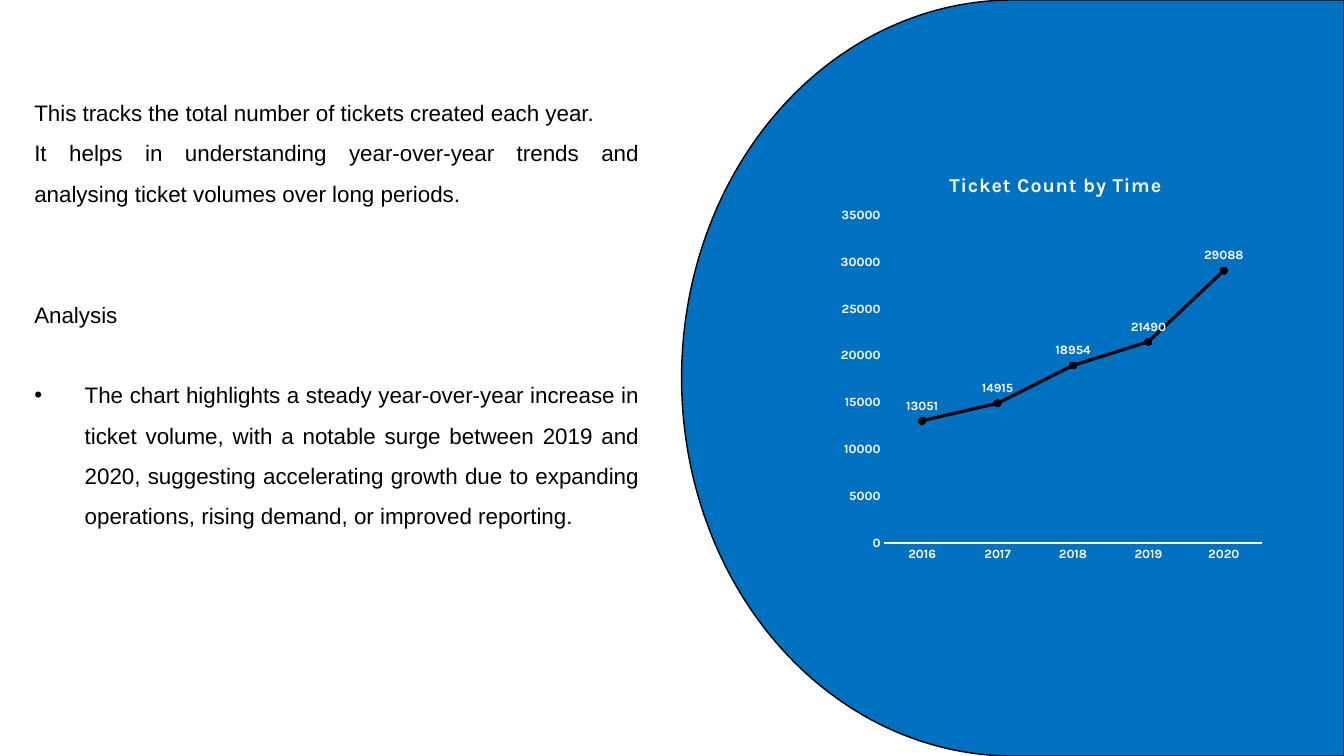
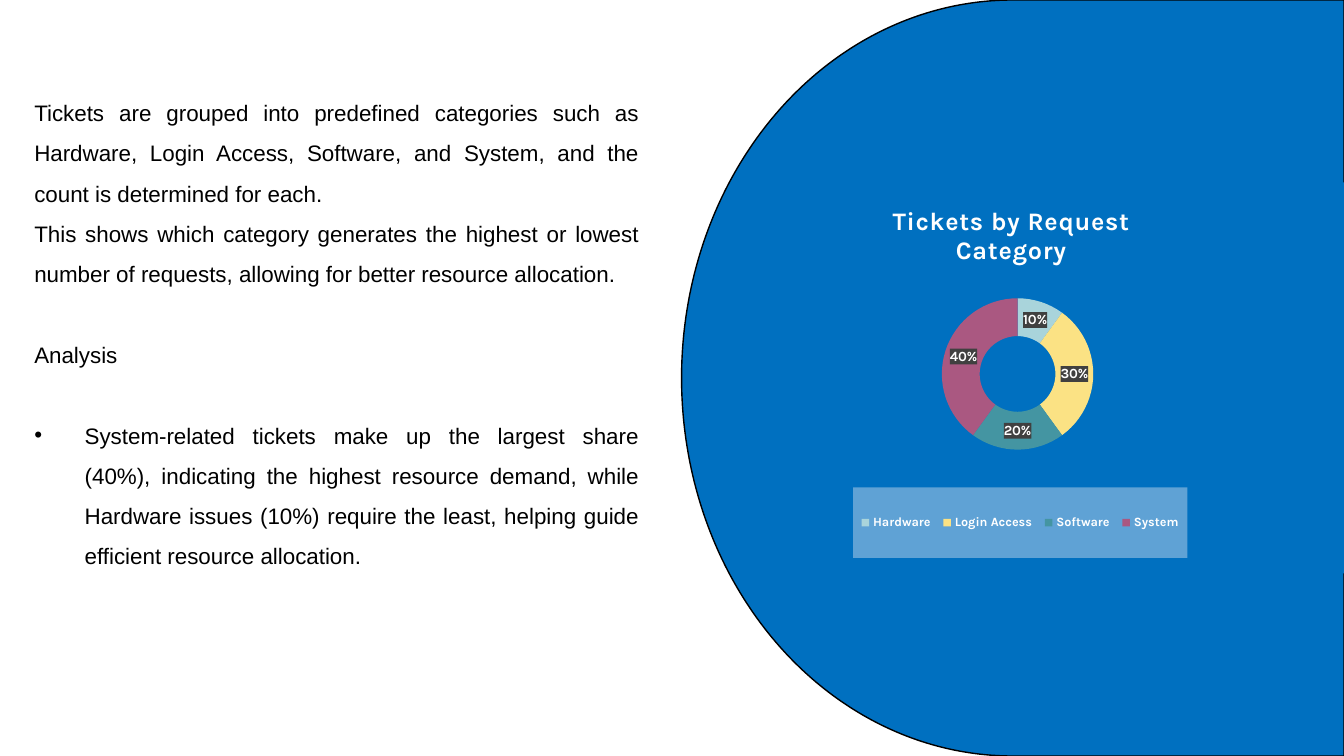
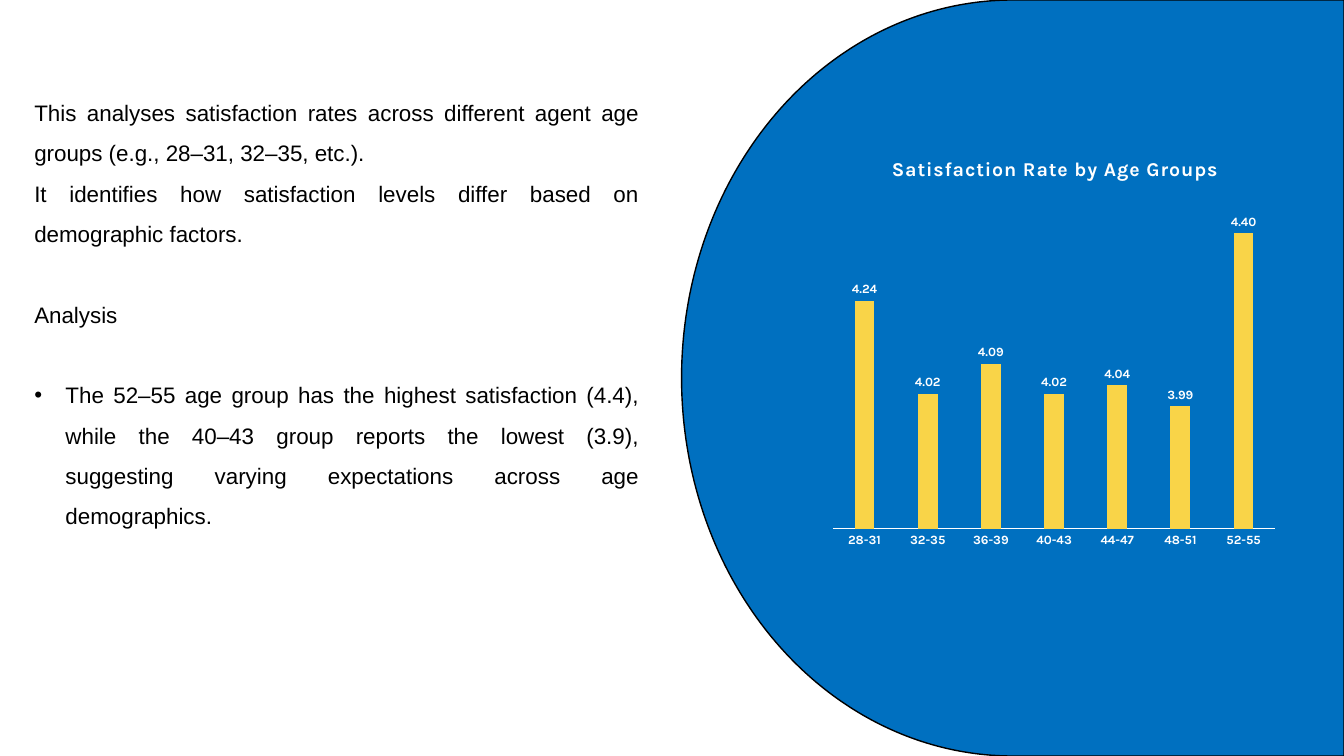
from dataclasses import dataclass

from lxml import etree
from pptx import Presentation
from pptx.chart.data import CategoryChartData as ChartData
from pptx.dml.color import RGBColor as RGB
from pptx.enum.chart import XL_CHART_TYPE as Kind
from pptx.enum.chart import XL_LABEL_POSITION as LabelAt
from pptx.enum.chart import XL_LEGEND_POSITION as LegendAt
from pptx.enum.chart import XL_MARKER_STYLE as Marker
from pptx.enum.chart import XL_TICK_MARK as Tick
from pptx.enum.shapes import MSO_SHAPE as Preset
from pptx.enum.text import MSO_ANCHOR, MSO_AUTO_SIZE
from pptx.enum.text import PP_ALIGN as Align
from pptx.oxml import parse_xml
from pptx.oxml.ns import nsdecls, qn
from pptx.util import Inches, Pt


@dataclass(frozen=True)
class Theme:
    blue: str = "0070C0"
    ink: str = "000000"
    white: str = "FFFFFF"
    gold: str = "F9D448"
    label_box: str = "404040"
    legend_box: str = "5FA2D5"
    slices: tuple = ("A9D4DB", "FBE284", "4495A2", "AA5881")
    body_font: str = "Arial"
    chart_font: str = "Karla"
    body_size: int = 16
    row: float = 28.8  # height of one text line, points
    small: int = 9
    medium: int = 10


theme = Theme()
prs = Presentation()
prs.slide_width, prs.slide_height = Inches(13.33), Inches(7.5)

# Frames are left, top, width, height in percent of the slide
BODY = (2.55, 11.33, 45, 83.6)
PANEL = (50.71, 0, 49.29, 100)


def frame(left, top, width, height):
    across, down = prs.slide_width / 100, prs.slide_height / 100
    return [round(v) for v in (left * across, top * down, width * across, height * down)]


def place(part, index, **shares):
    """Put a chart part at shares of the chart's size."""
    for old in part.findall(qn("c:layout")):
        part.remove(old)
    inner = '<c:layoutTarget val="inner"/>' if part.tag == qn("c:plotArea") else ""
    modes = "".join(f'<c:{k}Mode val="edge"/>' for k in "xy")
    values = "".join(f'<c:{k} val="{v}"/>' for k, v in shares.items())
    part.insert(index, parse_xml(
        f'<c:layout {nsdecls("c")}><c:manualLayout>{inner}{modes}{values}'
        "</c:manualLayout></c:layout>"))


pages = [
    dict(intro=["This tracks the total number of tickets created each year.",
                "It helps in understanding year-over-year trends and analysing ticket "
                "volumes over long periods."],
         gap_rows=2, indent=0.5,
         finding="The chart highlights a steady year-over-year increase in ticket volume, "
                 "with a notable surge between 2019 and 2020, suggesting accelerating growth "
                 "due to expanding operations, rising demand, or improved reporting.",
         kind=Kind.LINE_MARKERS, at=(61.89, 20.13, 32.63, 55.6),
         title="Ticket Count by Time", title_size=14, title_at=dict(x=0.26, y=0.04),
         plot_at=dict(x=0.12, y=0.15, w=0.86, h=0.78),
         data={"2016": 13051, "2017": 14915, "2018": 18954, "2019": 21490, "2020": 29088},
         scale=dict(minimum_scale=0, maximum_scale=35000, major_unit=5000),
         labels=dict(show_value=True, position=LabelAt.ABOVE, number_format="0")),
    dict(intro=["Tickets are grouped into predefined categories such as Hardware, Login "
                "Access, Software, and System, and the count is determined for each.",
                "This shows which category generates the highest or lowest number of "
                "requests, allowing for better resource allocation."],
         gap_rows=1, indent=0.5,
         finding="System-related tickets make up the largest share (40%), indicating the "
                 "highest resource demand, while Hardware issues (10%) require the least, "
                 "helping guide efficient resource allocation.",
         kind=Kind.DOUGHNUT, at=(61.14, 24.13, 38.86, 51.73),
         title="Tickets by Request\nCategory", title_size=18,
         title_at=dict(x=0.13, y=0.05),
         plot_at=dict(x=0.23, y=0.26, w=0.29, h=0.46),
         data={"Hardware": 10, "Login Access": 30, "Software": 20, "System": 40},
         labels=dict(show_value=False, show_percentage=True, number_format="0%")),
    dict(intro=["This analyses satisfaction rates across different agent age groups "
                "(e.g., 28–31, 32–35, etc.).",
                "It identifies how satisfaction levels differ based on demographic factors."],
         gap_rows=1, indent=0.31,
         finding="The 52–55 age group has the highest satisfaction (4.4), while the 40–43 "
                 "group reports the lowest (3.9), suggesting varying expectations across age "
                 "demographics.",
         kind=Kind.COLUMN_CLUSTERED, at=(61.29, 18, 34.28, 55.87),
         title="Satisfaction Rate by Age Groups", title_size=14,
         title_at=dict(x=0.14, y=0.04),
         plot_at=dict(x=0.02, y=0.13, w=0.96, h=0.8),
         data={"28-31": 4.24, "32-35": 4.02, "36-39": 4.09, "40-43": 4.02,
               "44-47": 4.04, "48-51": 3.99, "52-55": 4.4},
         scale=dict(minimum_scale=3.7, maximum_scale=4.5, major_unit=0.1, visible=False),
         labels=dict(show_value=True, position=LabelAt.OUTSIDE_END, number_format="0.00")),
]

for page in pages:
    slide = prs.slides.add_slide(prs.slide_layouts[1])
    heading = slide.shapes.title.element
    heading.getparent().remove(heading)

    # Commentary
    body = slide.placeholders[1]
    body.left, body.top, body.width, body.height = frame(*BODY)
    story = body.text_frame
    layout = dict(margin_left=0, margin_top=0, margin_right=0, margin_bottom=0,
                  word_wrap=True, auto_size=MSO_AUTO_SIZE.NONE,
                  vertical_anchor=MSO_ANCHOR.TOP)
    for name, value in layout.items():
        setattr(story, name, value)
    gaps = [0] * len(page["intro"]) + [page["gap_rows"], 1]
    texts = [*page["intro"], "Analysis", page["finding"]]
    story.text = "\n".join(texts)
    for para, gap in zip(story.paragraphs, gaps):
        para.alignment = Align.JUSTIFY
        para.line_spacing = Pt(theme.row)
        para.space_before, para.space_after = Pt(gap * theme.row), Pt(0)
        font = para.runs[0].font
        font.name, font.size = theme.body_font, Pt(theme.body_size)
        font.color.rgb = RGB.from_string(theme.ink)
        props = para.runs[0].font._element.getparent().getparent().get_or_add_pPr()
        bulleted = para.text == page["finding"]
        indent = Inches(page["indent"]) if bulleted else 0
        props.set("marL", str(indent))
        props.set("indent", str(-indent))
        if bulleted:
            etree.SubElement(props, qn("a:buFont")).set("typeface", theme.body_font)
            etree.SubElement(props, qn("a:buChar")).set("char", "•")
        else:
            etree.SubElement(props, qn("a:buNone"))

    # Blue panel
    panel = slide.shapes.add_shape(Preset.FLOWCHART_DELAY, *frame(*PANEL))
    panel.rotation = 180
    panel.shadow.inherit = False
    panel.fill.solid()
    panel.fill.fore_color.rgb = RGB.from_string(theme.blue)
    panel.line.color.rgb = RGB.from_string(theme.ink)
    panel.line.width = Pt(1)

    # Chart and its title
    figures = ChartData()
    figures.categories = list(page["data"])
    figures.add_series("Series 1", list(page["data"].values()))
    chart = slide.shapes.add_chart(page["kind"], *frame(*page["at"]), figures).chart
    chart.has_legend = False
    chart.has_title = True
    chart.chart_title.text_frame.text = page["title"]
    plot = chart.plots[0]
    series = plot.series[0]
    plot.vary_by_categories = page["kind"] == Kind.DOUGHNUT
    plot.has_data_labels = True
    labels = plot.data_labels
    for name, value in page["labels"].items():
        setattr(labels, name, value)
    labels.number_format_is_linked = False
    fonts = [(chart.font, theme.medium), (labels.font, theme.small)]
    fonts += [(run.font, page["title_size"])
              for para in chart.chart_title.text_frame.paragraphs for run in para.runs]
    painted = [(chart.element, theme.blue)]

    # Series and axes, or slices and legend
    if page["kind"] == Kind.DOUGHNUT:
        for i, colour in enumerate(theme.slices):
            wedge = series.points[i].format
            wedge.fill.solid()
            wedge.fill.fore_color.rgb = RGB.from_string(colour)
            wedge.line.fill.background()
        chart.has_legend = True
        legend = chart.legend
        legend.position, legend.include_in_layout = LegendAt.RIGHT, False
        fonts += [(legend.font, theme.small), (labels.font, theme.medium)]
        legend_part = next(chart.element.iter(qn("c:legend")))
        place(legend_part, 1, x=0.06, y=0.78, w=0.64, h=0.18)
        painted += [(legend_part, theme.legend_box),
                    (next(chart.element.iter(qn("c:dLbls"))), theme.label_box)]
    else:
        years, counts = chart.category_axis, chart.value_axis
        for axis in (years, counts):
            axis.has_major_gridlines = False
            axis.major_tick_mark = axis.minor_tick_mark = Tick.NONE
            fonts.append((axis.tick_labels.font, theme.small))
        years.format.line.color.rgb = RGB.from_string(theme.white)
        years.format.line.width = Pt(0.75)
        counts.format.line.fill.background()
        for name, value in page["scale"].items():
            setattr(counts, name, value)
        if page["kind"] == Kind.LINE_MARKERS:
            series.smooth = False
            series.format.line.color.rgb = RGB.from_string(theme.ink)
            series.format.line.width = Pt(2.25)
            series.marker.style, series.marker.size = Marker.CIRCLE, 5
            dot = series.marker.format
            dot.fill.solid()
            dot.fill.fore_color.rgb = RGB.from_string(theme.ink)
            dot.line.color.rgb = RGB.from_string(theme.ink)
        else:
            plot.gap_width, plot.overlap = 219, -27
            series.format.fill.solid()
            series.format.fill.fore_color.rgb = RGB.from_string(theme.gold)

    # Chart type, backgrounds and positions
    for font, size in fonts:
        font.name, font.size, font.bold = theme.chart_font, Pt(size), True
        font.color.rgb = RGB.from_string(theme.white)
    for part, colour in painted:
        part.find(qn("c:txPr")).addprevious(parse_xml(
            f'<c:spPr {nsdecls("c", "a")}><a:solidFill><a:srgbClr val="{colour}"/>'
            "</a:solidFill><a:ln><a:noFill/></a:ln></c:spPr>"))
    title_part = next(chart.element.iter(qn("c:title")))
    for run_props in title_part.iter(qn("a:rPr")):
        run_props.set("spc", "50")
    place(title_part, 1, **page["title_at"])
    place(next(chart.element.iter(qn("c:plotArea"))), 0, **page["plot_at"])

prs.save("out.pptx")
